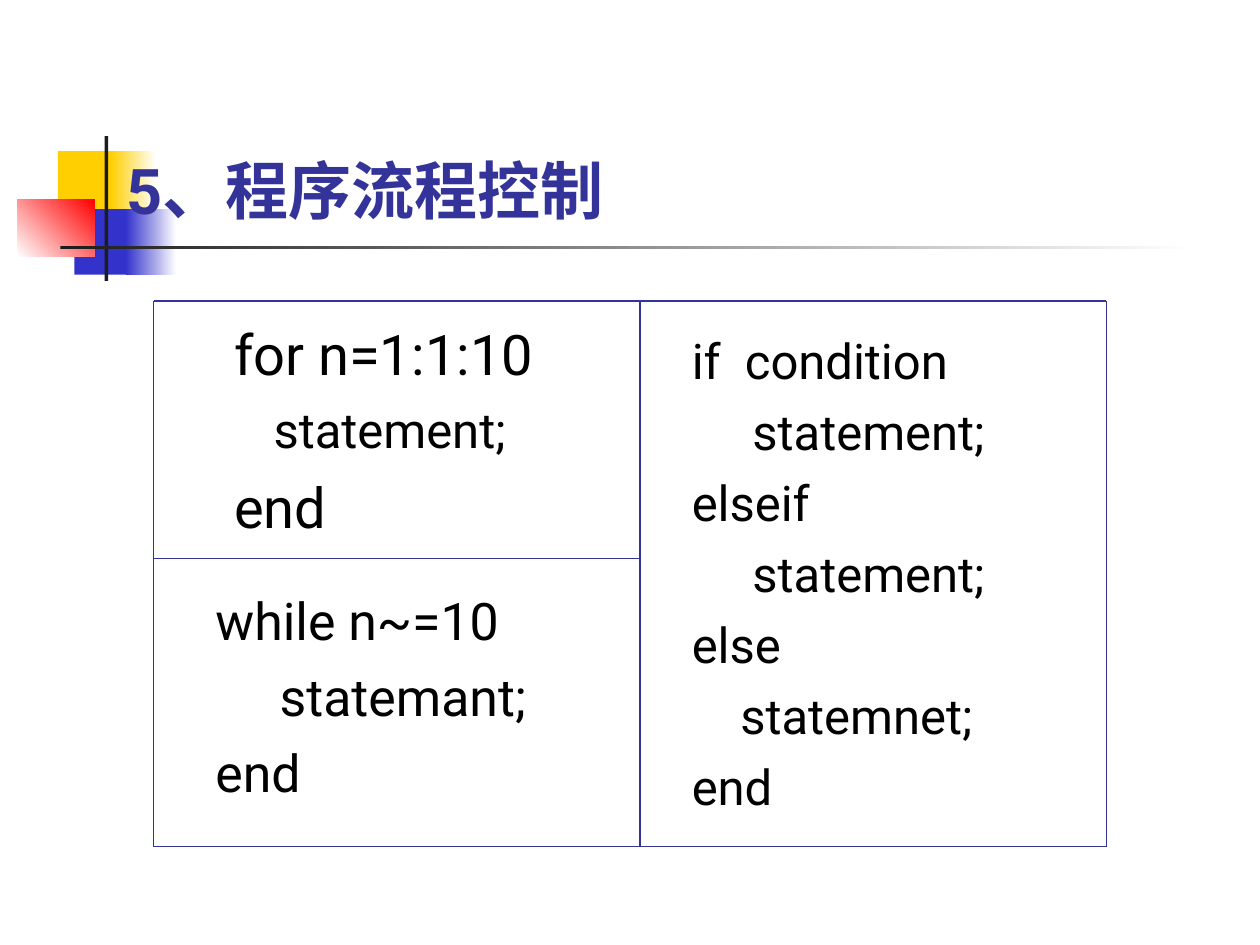
from pptx import Presentation
from pptx.dml.color import RGBColor
from pptx.enum import shapes, text
from pptx.oxml import parse_xml
from pptx.oxml.ns import nsdecls
from pptx.util import Inches, Pt

FONT = "Roboto"
WHITE = RGBColor(0xFF, 0xFF, 0xFF)
BLACK = RGBColor(0x00, 0x00, 0x00)
CHARCOAL = RGBColor(0x1C, 0x1C, 0x1C)
YELLOW = RGBColor(0xFF, 0xCF, 0x01)
BLUE = RGBColor(0x33, 0x33, 0xCC)
RED = RGBColor(0xFF, 0x00, 0x00)
INDIGO = RGBColor(0x33, 0x33, 0x99)


def place(shape, left, top, width, height):
    shape.left, shape.top = Inches(left), Inches(top)
    shape.width, shape.height = Inches(width), Inches(height)


def add_block(slide, left, top, width, height, colors, angle=0):
    """Borderless rectangle in one colour, or fading between two."""
    block = slide.shapes.add_shape(
        shapes.MSO_SHAPE.RECTANGLE,
        Inches(left), Inches(top), Inches(width), Inches(height))
    block.shadow.inherit = False
    block.line.fill.background()
    if len(colors) == 1:
        block.fill.solid()
        block.fill.fore_color.rgb = colors[0]
        return
    block.fill.gradient()
    block.fill.gradient_angle = angle
    for stop, color in zip(block.fill.gradient_stops, colors):
        stop.color.rgb = color


def add_ornament(slide, left, top):
    """Overlapping colour squares with a cross of dark bars."""
    for x, y, width, height, colors, angle in (
        (0.32, 0.12, 0.48, 0.52, [YELLOW], 0),
        (0.74, 0.12, 0.36, 0.52, [YELLOW, WHITE], 0),
        (0.45, 0.58, 0.46, 0.52, [BLUE], 0),
        (0.86, 0.58, 0.40, 0.52, [BLUE, WHITE], 0),
        (0, 0.50, 0.61, 0.46, [WHITE, RED], 45),
        (0.69, 0, 0.03, 1.15, [CHARCOAL], 0),
        (0.34, 0.87, 9, 0.03, [CHARCOAL, WHITE], 0),
    ):
        add_block(slide, left + x, top + y, width, height, colors, angle)


def add_rule(slide, x1, y1, x2, y2):
    rule = slide.shapes.add_connector(
        shapes.MSO_CONNECTOR.STRAIGHT,
        Inches(x1), Inches(y1), Inches(x2), Inches(y2))
    rule.line.color.rgb = INDIGO
    rule.line.width = Pt(0.75)
    rule._element.spPr.append(parse_xml(f"<a:effectLst {nsdecls('a')}/>"))


def add_frame(slide, left, top, width, height):
    """Outer box, a full-height divider and a split of the left column."""
    right, bottom = left + width, top + height
    divider, split = left + 3.86, top + 2.04
    for x in (left, divider, right):
        add_rule(slide, x, top, x, bottom)
    for y, end in ((top, right), (split, divider), (bottom, right)):
        add_rule(slide, left, y, end, y)


def style_run(paragraph, size, color, bold=False):
    for run in paragraph.runs:
        run.font.name = FONT
        run.font.size = Pt(size)
        run.font.bold = bold
        run.font.color.rgb = color


def fill_title(title, left, top, width, height):
    place(title, left, top, width, height)
    frame = title.text_frame
    frame.text = "5、程序流程控制"
    frame.vertical_anchor = text.MSO_ANCHOR.TOP
    frame.auto_size = text.MSO_AUTO_SIZE.NONE
    heading = frame.paragraphs[0]
    heading.alignment = text.PP_ALIGN.LEFT
    style_run(heading, 36, INDIGO, bold=True)


def fill_code(holder, box, lines):
    """Write code lines given as (text, size, space before, indent)."""
    place(holder, *box)
    frame = holder.text_frame
    frame.word_wrap = True
    frame.auto_size = text.MSO_AUTO_SIZE.NONE
    frame.vertical_anchor = text.MSO_ANCHOR.TOP
    frame.text = "\n".join(line[0] for line in lines)
    for number, (paragraph, line) in enumerate(zip(frame.paragraphs, lines)):
        _, size, gap, indent = line
        properties = paragraph._p.get_or_add_pPr()
        properties.set("marL", str(Inches(indent)))
        properties.set("indent", "0")
        properties.append(parse_xml(f"<a:buNone {nsdecls('a')}/>"))
        paragraph.space_before = Pt(gap if number else 0)
        style_run(paragraph, size, BLACK)


def build_slide(prs):
    slide = prs.slides.add_slide(prs.slide_layouts[3])
    title, while_loop, branches = list(slide.placeholders)[:3]
    add_ornament(slide, 0.14, 1.08)
    add_frame(slide, 1.22, 2.39, 7.56, 4.33)
    for holder in (while_loop, branches, title):
        slide.shapes._spTree.append(holder._element)  # in front of the ornament

    fill_title(title, 0.9, 1.15, 8.43, 0.7)
    while_code = ("while n~=10", "     statemant;", "end")
    fill_code(while_loop, (1.61, 4.62, 3.28, 1.86),
              [(line, 29.6, 8, 0) for line in while_code])
    branch_code = ("if  condition", "     statement;", "elseif",
                   "     statement;", "else", "    statemnet;", "end")
    fill_code(branches, (5.39, 2.57, 3.15, 3.94),
              [(line, 28, 7, 0) for line in branch_code])
    for_loop = slide.shapes.add_textbox(0, 0, 0, 0)
    fill_code(for_loop, (1.38, 2.49, 3.28, 1.89),
              [("for n=1:1:10", 32, 8, 0.38),
               ("  statement;", 28, 7, 0.5),
               ("end", 32, 8, 0.38)])


def main():
    prs = Presentation()
    prs.slide_width, prs.slide_height = Inches(10), Inches(7.5)
    build_slide(prs)
    prs.save("out.pptx")


if __name__ == "__main__":
    main()
